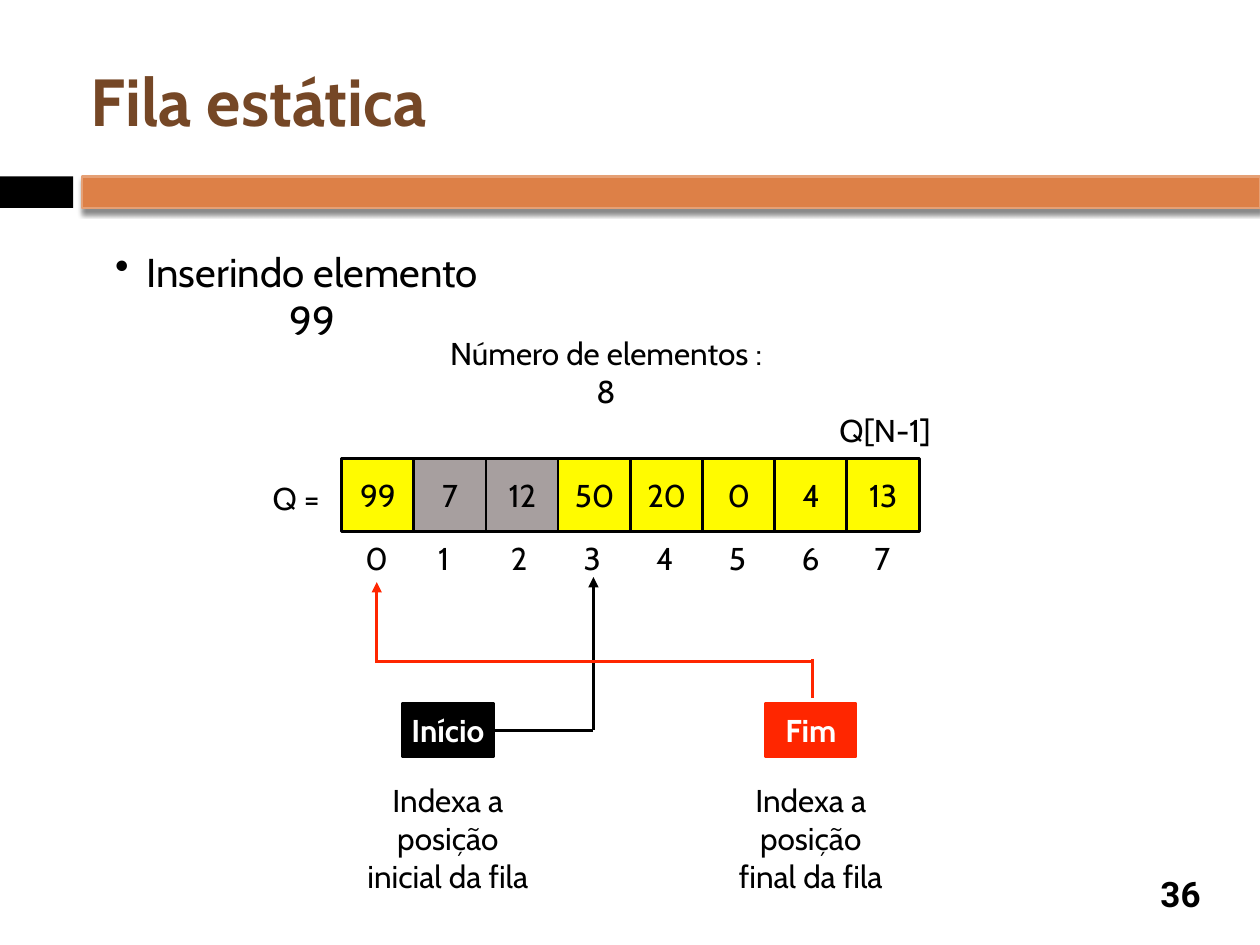
from dataclasses import dataclass

from lxml.etree import SubElement
from pptx import Presentation
from pptx.dml.color import RGBColor
from pptx.enum.shapes import MSO_CONNECTOR, MSO_SHAPE
from pptx.enum.text import MSO_ANCHOR, MSO_AUTO_SIZE, PP_ALIGN
from pptx.oxml.ns import qn
from pptx.util import Inches, Pt


@dataclass(frozen=True)
class Theme:
    black: str = "000000"
    white: str = "FFFFFF"
    brown: str = "754726"
    orange: str = "DD8047"
    peach: str = "E5A075"
    yellow: str = "FFFB00"
    gray: str = "A79F9F"
    red: str = "FF2600"
    font: str = "Cabin"
    number_font: str = "Roboto"
    title_size: int = 38
    bullet_size: int = 23
    number_size: int = 20
    body_size: int = 18
    line_width: float = 1.5


@dataclass(frozen=True)
class Box:
    left: float
    top: float
    width: float
    height: float

    def inner(self, left, top, width, height):
        return Box(self.left + left, self.top + top, width, height)

    def lengths(self):
        return [grid(n) for n in (self.left, self.top, self.width, self.height)]


THEME = Theme()
COLUMNS, ROWS = 100, 75
CELL = Inches(0.1)


def grid(count):
    return round(count * CELL)


def rgb(color):
    return RGBColor.from_string(color)


def write(shape, lines, size=THEME.body_size, color=THEME.black, bold=False,
          font=THEME.font, align=PP_ALIGN.CENTER, anchor=MSO_ANCHOR.MIDDLE):
    frame = shape.text_frame
    frame.margin_left = frame.margin_right = grid(0.5)
    frame.margin_top = frame.margin_bottom = grid(0.5)
    frame.vertical_anchor = anchor
    frame.word_wrap = True
    frame.text = "\n".join(lines)
    for para in frame.paragraphs:
        para.alignment = align
        para.font.name = font
        para.font.size = Pt(size)
        para.font.bold = bold
        para.font.color.rgb = rgb(color)
    return frame


def add_text(page, box, *lines, **style):
    return write(page.shapes.add_textbox(*box.lengths()), lines, **style)


def add_label(page, box, *lines, **style):
    frame = add_text(page, box, *lines, anchor=MSO_ANCHOR.TOP, **style)
    frame.word_wrap = False
    frame.auto_size = MSO_AUTO_SIZE.SHAPE_TO_FIT_TEXT
    return frame


def add_rectangle(page, box, fill, line=None):
    shape = page.shapes.add_shape(MSO_SHAPE.RECTANGLE, *box.lengths())
    shape.shadow.inherit = False
    shape.fill.solid()
    shape.fill.fore_color.rgb = rgb(fill)
    if line:
        shape.line.color.rgb = rgb(line)
        shape.line.width = Pt(THEME.line_width)
    else:
        shape.line.fill.background()
    return shape


def add_line(page, box, start, end, color, arrow=False):
    points = [grid(n) for x, y in (start, end) for n in (box.left + x, box.top + y)]
    connector = page.shapes.add_connector(MSO_CONNECTOR.STRAIGHT, *points)
    connector.line.color.rgb = rgb(color)
    connector.line.width = Pt(THEME.line_width)
    properties = connector._element.spPr
    if arrow:
        SubElement(properties.find(qn("a:ln")), qn("a:tailEnd"), type="triangle")
    SubElement(properties, qn("a:effectLst"))


def add_shadow(shape):
    effects = shape._element.spPr.find(qn("a:effectLst"))
    shadow = SubElement(effects, qn("a:outerShdw"), blurRad=str(Pt(3)),
                        dist=str(Pt(2.4)), dir="5400000", rotWithShape="0")
    color = SubElement(shadow, qn("a:srgbClr"), val=THEME.black)
    SubElement(color, qn("a:alpha"), val="45000")


def add_bullet(para, indent):
    properties = para._p.get_or_add_pPr()
    properties.set("marL", str(grid(indent)))
    properties.set("indent", str(grid(-indent)))
    properties.insert(0, SubElement(properties, qn("a:buChar"), char="•"))


def draw_header(page, box):
    add_rectangle(page, box.inner(0, 14, 5.8, 2.5), THEME.black)
    band = add_rectangle(page, box.inner(6.5, 14, box.width - 6.5, 2.5),
                         THEME.orange, THEME.peach)
    add_shadow(band)
    add_text(page, box.inner(6.7, 2.5, 89.2, 10.8), "Fila estática",
             size=THEME.title_size, color=THEME.brown, bold=True, align=PP_ALIGN.LEFT)


def draw_page_number(page, box):
    add_text(page, box, "36", size=THEME.number_size, bold=True, font=THEME.number_font)


def draw_captions(page, box):
    bullet = add_label(page, box.inner(0, 0, 31.7, 4.5), "Inserindo elemento 99",
                       size=THEME.bullet_size)
    add_bullet(bullet.paragraphs[0], 2.5)
    add_label(page, box.inner(27.4, 6.9, 26, 3.6), "Número de elementos : 8")


def draw_queue(page, box):
    values = (99, 7, 12, 50, 20, 0, 4, 13)
    removed = (1, 2)
    side = 5.8
    pitch = (box.width - side) / (len(values) - 1)
    for index, value in enumerate(values):
        fill = THEME.gray if index in removed else THEME.yellow
        cell = add_rectangle(page, box.inner(index * pitch, 0, side, side),
                             fill, THEME.black)
        write(cell, [str(value)])
        add_label(page, box.inner(1.4 + index * 5.77, 5.9, 2.5, 3.6),
                  str(index), align=PP_ALIGN.LEFT)
    add_label(page, box.inner(-6.3, 1.1, 5.4, 3.6), "Q =")
    add_label(page, box.inner(39, -4.3, 8.3, 3.6), "Q[N-1]")


def draw_pointer(page, box, name, color, *description):
    tag = add_rectangle(page, box.inner(5.55, 0, 7.2, 4.3), color, color)
    write(tag, [name], color=THEME.white, bold=True)
    add_label(page, box.inner(0, 5.7, box.width, 6.3), *description)


def draw_paths(page, box):
    add_line(page, box, (17.2, 12.1), (17.2, 0), THEME.black, arrow=True)
    add_line(page, box, (0, 6.7), (0, 0.4), THEME.red, arrow=True)
    add_line(page, box, (-0.1, 6.7), (34.5, 6.7), THEME.red)
    add_line(page, box, (8.9, 12.2), (17.2, 12.2), THEME.black)
    add_line(page, box, (34.6, 6.5), (34.6, 9.6), THEME.red)


def main():
    deck = Presentation()
    deck.slide_width = grid(COLUMNS)
    deck.slide_height = grid(ROWS)
    page = deck.slides.add_slide(deck.slide_layouts[6])
    draw_header(page, Box(0, 0, COLUMNS, 16.5))
    draw_page_number(page, Box(90.8, 68.9, 5.8, 4.1))
    draw_queue(page, Box(27.1, 36.4, 45.9, 9.5))
    draw_pointer(page, Box(26.4, 55.8, 18.3, 12), "Início", THEME.black,
                 "Indexa a posição", "inicial da fila")
    draw_pointer(page, Box(55.2, 55.8, 18.3, 12), "Fim", THEME.red,
                 "Indexa a posição", "final da fila")
    draw_captions(page, Box(7.7, 19.1, 53.4, 10.5))
    draw_paths(page, Box(29.9, 45.8, 34.6, 12.2))
    deck.save("out.pptx")


if __name__ == "__main__":
    main()
